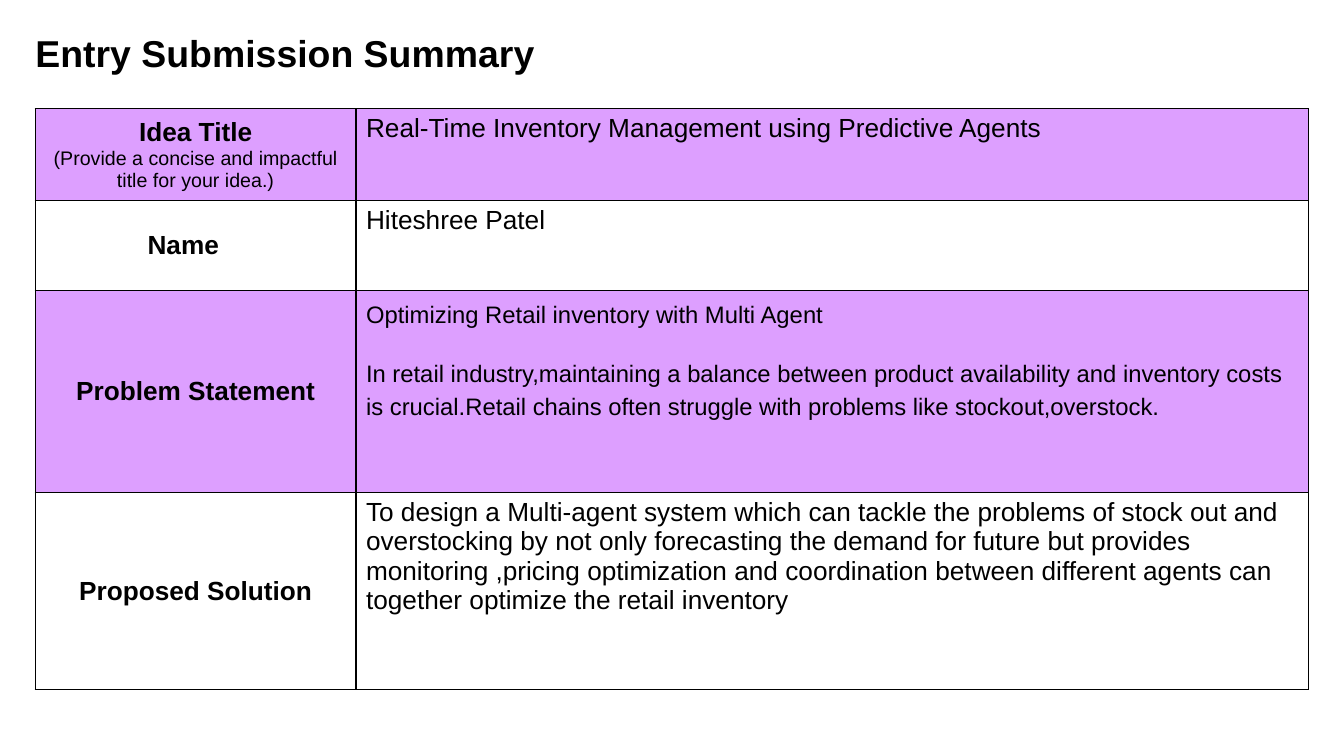
from dataclasses import dataclass

import lxml.etree
import pptx
import pptx.dml.color
import pptx.enum.text
import pptx.oxml.ns
import pptx.slide
import pptx.table
import pptx.text.text
import pptx.util

BLACK = pptx.dml.color.RGBColor(0x00, 0x00, 0x00)
WHITE = pptx.dml.color.RGBColor(0xFF, 0xFF, 0xFF)
LILAC = pptx.dml.color.RGBColor(0xDD, 0x9F, 0xFF)
FONT = "Arial"
WIDE, HIGH = 13.33, 7.5

# Shares of the slide's size, in percent
LEFT = 2.63
COLS = (23.86, 70.89)
ROWS = (12.13, 11.87, 26.8, 26)
INSET = 0.75


@dataclass(frozen=True)
class Entry:
    label: str
    body: tuple[str, ...]
    hint: str = ""
    size: float = 18.7
    lines: float = 1.0
    gap: float = 0
    indent: float | None = None


ENTRIES = (
    Entry(
        "Idea Title",
        ("Real-Time Inventory Management using Predictive Agents",),
        hint="(Provide a concise and impactful title for your idea.)",
    ),
    Entry("Name", ("Hiteshree Patel",), indent=8.35),
    Entry(
        "Problem Statement",
        (
            "Optimizing Retail inventory with Multi Agent",
            "In retail industry,maintaining a balance between product availability "
            "and inventory costs is crucial.Retail chains often struggle with "
            "problems like stockout,overstock.",
        ),
        size=17,
        lines=1.25,
        gap=18,
    ),
    Entry(
        "Proposed Solution",
        (
            "To design a Multi-agent system which can tackle the problems of stock "
            "out and overstocking by not only forecasting the demand for future but "
            "provides monitoring ,pricing optimization and coordination between "
            "different agents can together optimize the retail inventory",
        ),
    ),
)


def across(share: float) -> int:
    return pptx.util.Inches(WIDE * share / 100)


def down(share: float) -> int:
    return pptx.util.Inches(HIGH * share / 100)


def write(para: pptx.text.text._Paragraph, text: str, size: float,
          bold: bool = False) -> None:
    run = para.add_run()
    run.text = text
    run.font.name = FONT
    run.font.size = pptx.util.Pt(size)
    run.font.bold = bold
    run.font.color.rgb = BLACK


def style(cell: pptx.table._Cell, fill: pptx.dml.color.RGBColor) -> None:
    """Give a cell black borders, a plain fill and even insets."""
    qn = pptx.oxml.ns.qn
    props = cell._tc.get_or_add_tcPr()
    for side in "LRTB":
        line = lxml.etree.SubElement(props, qn(f"a:ln{side}"),
                                     w=str(pptx.util.Pt(1)))
        paint = lxml.etree.SubElement(line, qn("a:solidFill"))
        lxml.etree.SubElement(paint, qn("a:srgbClr"), val=str(BLACK))
    cell.fill.solid()
    cell.fill.fore_color.rgb = fill
    cell.margin_left = cell.margin_right = across(INSET)
    cell.margin_top = cell.margin_bottom = pptx.util.Inches(0.05)


def draw_label(cell: pptx.table._Cell, entry: Entry) -> None:
    cell.vertical_anchor = pptx.enum.text.MSO_ANCHOR.MIDDLE
    para = cell.text_frame.paragraphs[0]
    if entry.indent is None:
        para.alignment = pptx.enum.text.PP_ALIGN.CENTER
    else:
        cell.margin_left = across(entry.indent)
    write(para, entry.label, 18.7, bold=True)
    if entry.hint:
        para.add_line_break()
        write(para, entry.hint, 14)


def draw_body(cell: pptx.table._Cell, entry: Entry) -> None:
    frame = cell.text_frame
    for index, text in enumerate(entry.body):
        para = frame.add_paragraph() if index else frame.paragraphs[0]
        para.line_spacing = entry.lines
        para.space_before = pptx.util.Pt(entry.gap)
        write(para, text, entry.size)


def draw_title(slide: pptx.slide.Slide) -> None:
    box = slide.shapes.add_textbox(across(LEFT), down(5.2), across(92.2), down(12.4))
    frame = box.text_frame
    frame.word_wrap = True
    frame.margin_left = frame.margin_top = frame.margin_bottom = 0
    frame.margin_right = across(1)
    para = frame.paragraphs[0]
    para.line_spacing = 0.8
    write(para, "Entry Submission Summary", 26.7, bold=True)


def draw_table(slide: pptx.slide.Slide) -> None:
    table = slide.shapes.add_table(
        len(ROWS), len(COLS), across(LEFT), down(14.4),
        across(sum(COLS)), down(sum(ROWS)),
    ).table
    for col, share in zip(table.columns, COLS):
        col.width = across(share)
    for index, (entry, share) in enumerate(zip(ENTRIES, ROWS)):
        table.rows[index].height = down(share)
        label, body = table.cell(index, 0), table.cell(index, 1)
        for cell in (label, body):
            style(cell, WHITE if index % 2 else LILAC)
        draw_label(label, entry)
        draw_body(body, entry)


def main() -> None:
    deck = pptx.Presentation()
    deck.slide_width = pptx.util.Inches(WIDE)
    deck.slide_height = pptx.util.Inches(HIGH)
    slide = deck.slides.add_slide(deck.slide_layouts[6])
    draw_title(slide)
    draw_table(slide)
    deck.save("out.pptx")


if __name__ == "__main__":
    main()
